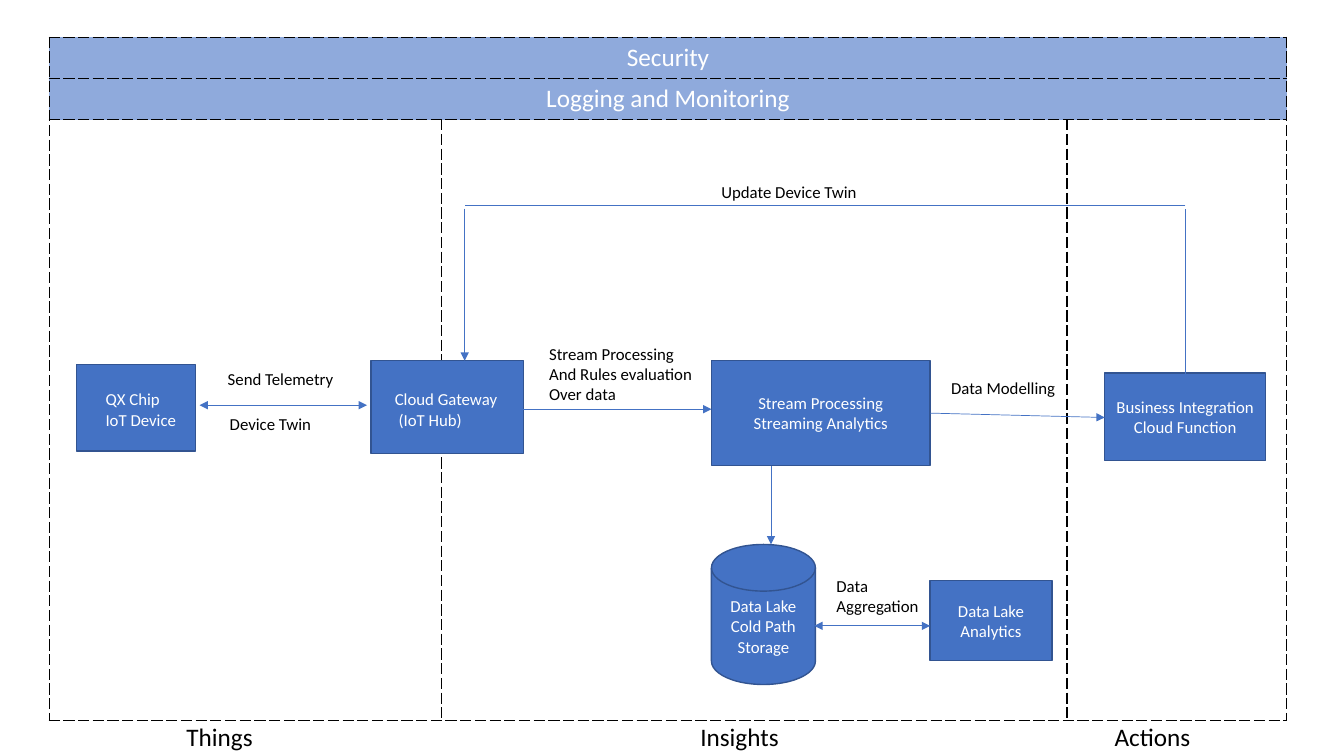
import pptx
import pptx.util
import pptx.dml.color
import pptx.enum.shapes
import pptx.enum.text
import pptx.oxml
import pptx.oxml.ns

Cm, Pt = pptx.util.Cm, pptx.util.Pt
SHAPE = pptx.enum.shapes.MSO_SHAPE
ALIGN = pptx.enum.text.PP_ALIGN
COLORS = {"band": "8FAADC", "box": "4472C4", "edge": "325491",
          "light": "FFFFFF", "dark": "000000"}


def rgb(name):
    return pptx.dml.color.RGBColor.from_string(COLORS[name])


def add_xml(parent, markup):
    """Append DrawingML written with the a: prefix to parent."""
    tag, rest = markup[1:].split(" ", 1)
    namespace = pptx.oxml.ns.nsdecls("a")
    parent.append(pptx.oxml.parse_xml(f"<{tag} {namespace} {rest}"))


class Diagram:
    """The slide being drawn, with its font and line style."""
    font_name = "Calibri"
    small, large = 12, 18
    box_line, arrow_line = 1, 0.5

    def __init__(self, slide):
        self.shapes = slide.shapes

    def set_text(self, frame, text, size, color, align=ALIGN.LEFT):
        frame.text = text
        font_format = {"name": self.font_name, "size": Pt(size)}
        for paragraph in frame.paragraphs:
            paragraph.alignment = align
            for run in paragraph.runs:
                for key, value in font_format.items():
                    setattr(run.font, key, value)
                run.font.color.rgb = rgb(color)

    def zones(self, left, top, widths, heights, bands):
        """Dashed table: one merged row per band, then a row of open zones."""
        grid = self.shapes.add_table(
            len(heights), len(widths), Cm(left), Cm(top),
            Cm(sum(widths)), Cm(sum(heights))).table
        for key, value in {"first_row": False, "horz_banding": False}.items():
            setattr(grid, key, value)
        for column, width in zip(grid.columns, widths):
            column.width = Cm(width)
        for row, height in zip(grid.rows, heights):
            row.height = Cm(height)
        for cell in grid.iter_cells():
            properties = cell._tc.get_or_add_tcPr()
            for side in ("lnL", "lnR", "lnT", "lnB"):
                add_xml(properties,
                        f'<a:{side} w="12700"><a:solidFill><a:srgbClr val="{COLORS["dark"]}"/>'
                        f'</a:solidFill><a:prstDash val="sysDash"/></a:{side}>')
            cell.fill.background()
        for row, band in enumerate(bands):
            for column in range(len(widths)):
                cell = grid.cell(row, column)
                cell.fill.solid()
                cell.fill.fore_color.rgb = rgb("band")
            grid.cell(row, 0).merge(grid.cell(row, len(widths) - 1))
            self.set_text(grid.cell(row, 0).text_frame, band, self.large, "light", ALIGN.CENTER)

    def box(self, kind, left, top, width, height, text=""):
        box = self.shapes.add_shape(kind, Cm(left), Cm(top), Cm(width), Cm(height))
        box.shadow.inherit = False
        box.fill.solid()
        box.fill.fore_color.rgb = rgb("box")
        box.line.color.rgb = rgb("edge")
        box.line.width = Pt(self.box_line)
        if text:
            box.text_frame.vertical_anchor = pptx.enum.text.MSO_ANCHOR.MIDDLE
            self.set_text(box.text_frame, text, self.small, "light", ALIGN.CENTER)

    def label(self, left, top, width, height, text, size=small, color="dark"):
        frame = self.shapes.add_textbox(Cm(left), Cm(top), Cm(width), Cm(height)).text_frame
        frame_format = {"word_wrap": False,
                        "auto_size": pptx.enum.text.MSO_AUTO_SIZE.SHAPE_TO_FIT_TEXT}
        for key, value in frame_format.items():
            setattr(frame, key, value)
        self.set_text(frame, text, size, color)

    def link(self, x1, y1, x2, y2, ends=()):
        """Straight line; ends lists headEnd (start) and tailEnd (finish) arrows."""
        link = self.shapes.add_connector(
            pptx.enum.shapes.MSO_CONNECTOR.STRAIGHT, Cm(x1), Cm(y1), Cm(x2), Cm(y2))
        link.line.color.rgb = rgb("box")
        link.line.width = Pt(self.arrow_line)
        for end in ends:
            add_xml(link.line._get_or_add_ln(), f'<a:{end} type="triangle"/>')
        add_xml(link._element.spPr, "<a:effectLst />")


def main():
    deck = pptx.Presentation()
    deck.slide_width, deck.slide_height = Cm(33.87), Cm(19.05)
    diagram = Diagram(deck.slides.add_slide(deck.slide_layouts[6]))

    diagram.zones(1.24, 0.94, (9.88, 15.77, 5.54), (1.04, 1.04, 15.14),
                  ("Security", "Logging and Monitoring"))
    for left, width, zone in ((4.45, 2.21, "Things"), (17.4, 2.51, "Insights"),
                              (27.84, 2.44, "Actions")):
        diagram.label(left, 18.06, width, 1.02, zone, diagram.large)

    process = SHAPE.FLOWCHART_PROCESS
    for component in (
            (process, 1.93, 9.19, 3, 2.18),
            (process, 9.35, 9.09, 3.84, 2.34),
            (process, 17.93, 9.09, 5.51, 2.64, "Stream Processing\nStreaming Analytics"),
            (SHAPE.FLOWCHART_MAGNETIC_DISK, 17.93, 13.72, 2.62, 3.53,
             "Data Lake Cold Path Storage"),
            (SHAPE.RECTANGLE, 23.44, 14.63, 3.07, 2.01, "Data Lake Analytics"),
            (SHAPE.RECTANGLE, 27.84, 9.4, 4.06, 2.21, "Business Integration\nCloud Function")):
        diagram.box(*component)
    diagram.label(2.41, 9.68, 2.31, 1.27, "QX Chip\nIoT Device", color="light")
    diagram.label(9.7, 9.68, 3.12, 1.27, "Cloud Gateway\n (IoT Hub)", color="light")

    forward, both = ("tailEnd",), ("headEnd", "tailEnd")
    for flow in (
            (5.03, 10.21, 9.25, 10.21, both),
            (13.18, 10.31, 17.93, 10.31, forward),
            (19.43, 11.73, 19.43, 13.72, forward),
            (20.52, 15.77, 23.44, 15.77, both),
            (23.44, 10.41, 27.84, 10.52, forward),
            (29.87, 9.68, 29.87, 5.26),
            (29.87, 5.18, 11.71, 5.18),
            (11.71, 5.26, 11.71, 9.09, forward)):
        diagram.link(*flow)

    for caption in (
            (5.49, 9.17, 3.2, 0.76, "Send Telemetry"),
            (5.54, 10.29, 2.59, 0.76, "Device Twin"),
            (13.59, 8.53, 4.14, 1.8, "Stream Processing\nAnd Rules evaluation\nOver data"),
            (20.83, 14.38, 2.62, 1.27, "Data\nAggregation"),
            (23.72, 9.4, 3.15, 0.76, "Data Modelling"),
            (17.93, 4.45, 3.96, 0.76, "Update Device Twin")):
        diagram.label(*caption)

    deck.save("out.pptx")


if __name__ == "__main__":
    main()
